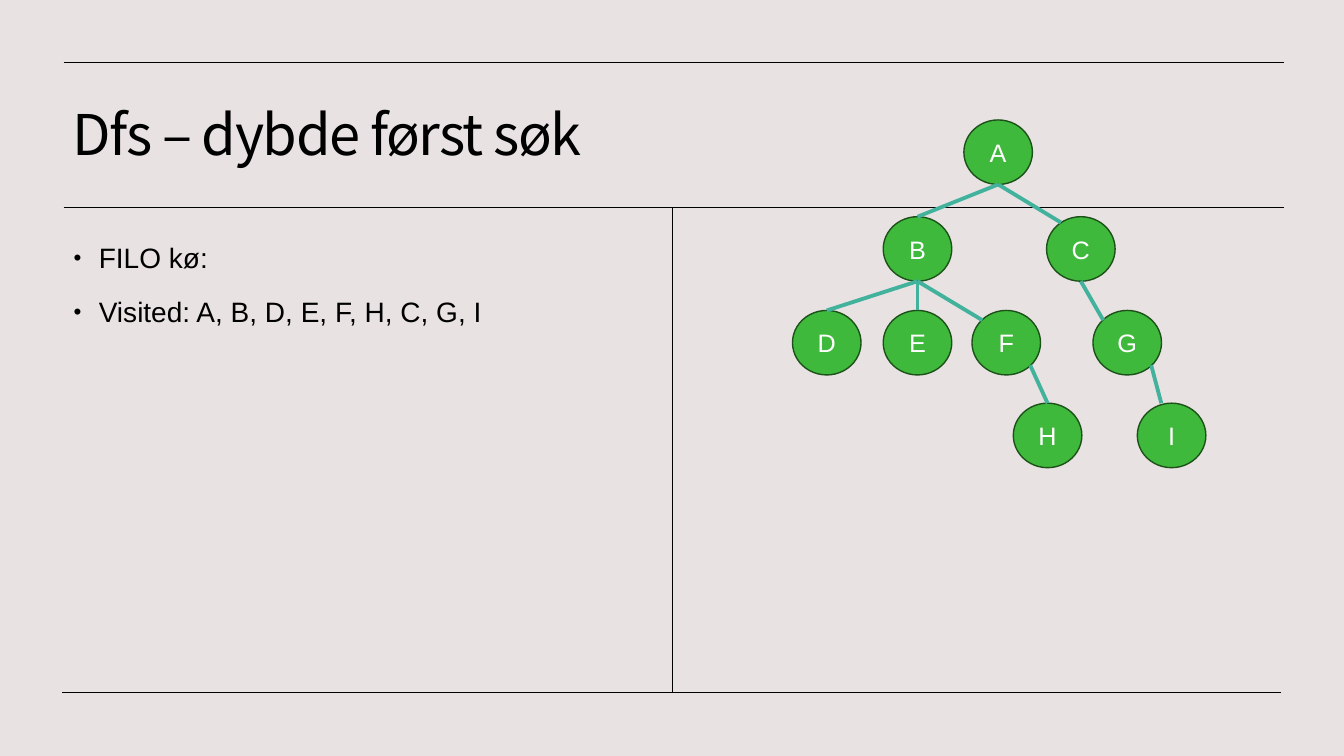
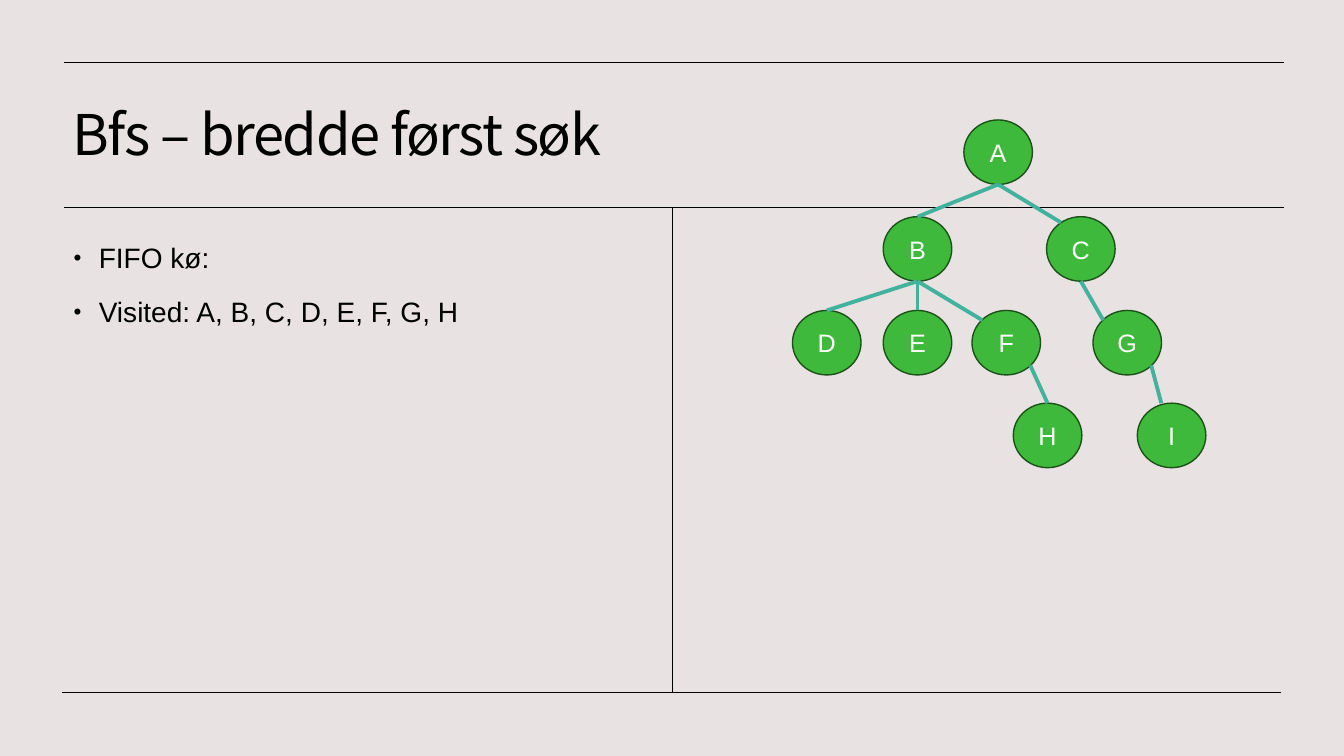
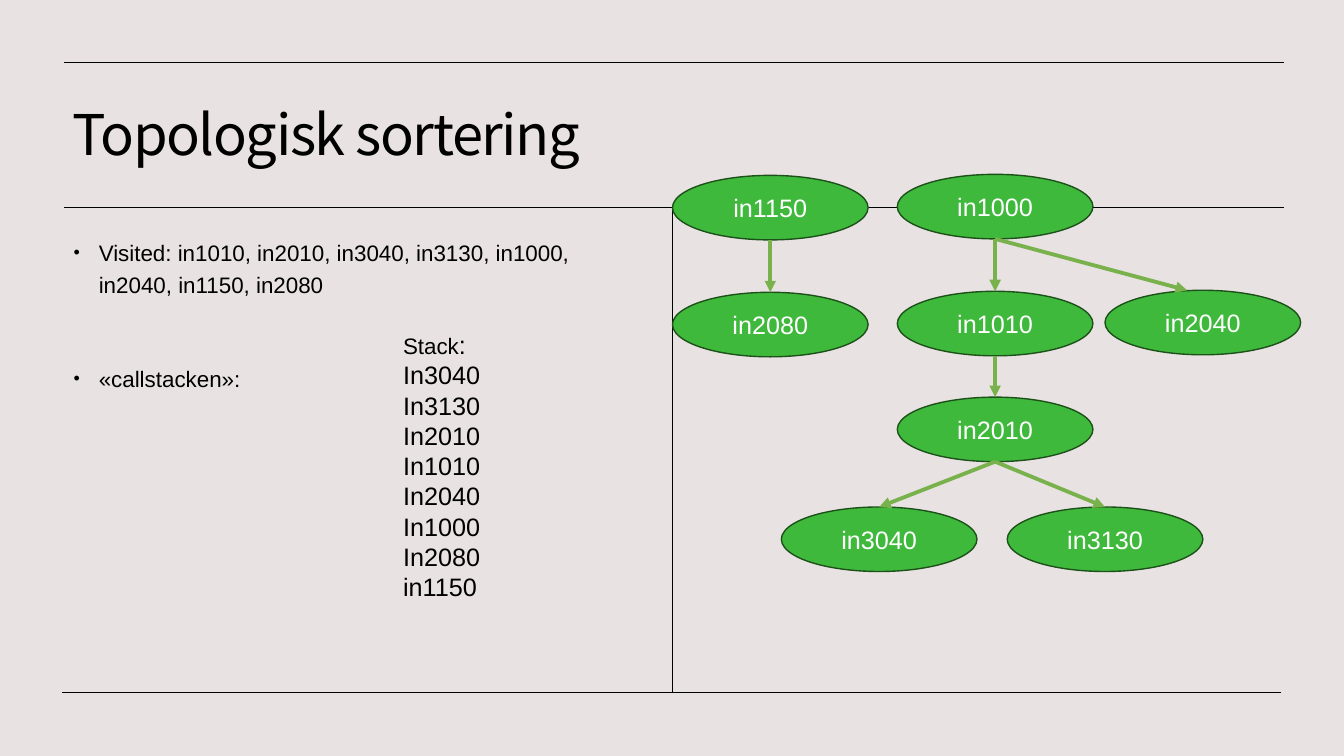
import pptx
import pptx.dml.color
import pptx.enum.shapes
import pptx.enum.text
import pptx.oxml.ns
import pptx.util
from lxml import etree
from pptx.util import Inches

COLOURS = {
    "background": "E8E3E2",
    "ink": "000000",
    "node": "3FB93B",
    "node_outline": "1C511A",
    "node_text": "FFFFFF",
    "tree_edge": "42B29C",
    "arrow": "79B14D",
}
TITLE_FONT = "Noto Sans CJK KR"
BODY_FONT = "Arial"

# Rules around the title and the two columns: x1, y1, x2, y2
FRAME_LINES = [
    (0.62, 6.87, 12.71, 6.87),
    (0.63, 2.06, 12.73, 2.06),
    (0.63, 0.62, 12.73, 0.62),
    (6.67, 2.06, 6.67, 6.87),
]

# Points on a node, as fractions of its width and height
TOP, BOTTOM = (0.5, 0), (0.5, 1)
UPPER_LEFT, LOWER_RIGHT = (0.15, 0.15), (0.85, 0.85)

NODE_HEIGHT = 0.64
LETTER_WIDTH = 0.68
COURSE_WIDTH = 1.94

# Node name: left, top
TREE_NODES = {
    "A": (9.56, 1.19),
    "B": (8.76, 2.15), "C": (10.38, 2.15),
    "D": (7.86, 3.08), "E": (8.76, 3.08), "F": (9.64, 3.08), "G": (10.84, 3.08),
    "H": (10.05, 4), "I": (11.28, 4),
}
TREE_EDGES = [
    ("A", BOTTOM, "B", TOP),
    ("A", BOTTOM, "C", (0.21, 0.09)),
    ("B", BOTTOM, "D", TOP),
    ("B", BOTTOM, "E", TOP),
    ("B", BOTTOM, "F", UPPER_LEFT),
    ("C", BOTTOM, "G", UPPER_LEFT),
    ("F", LOWER_RIGHT, "H", TOP),
    ("G", LOWER_RIGHT, "I", (0.35, 0)),
]
COURSE_NODES = {
    "in1150": (6.67, 1.74), "in1000": (8.9, 1.73),
    "in2080": (6.67, 2.9), "in1010": (8.9, 2.89), "in2040": (10.96, 2.88),
    "in2010": (8.9, 3.94),
    "in3040": (7.75, 5.03), "in3130": (9.99, 5.03),
}
COURSE_EDGES = [
    ("in1150", BOTTOM, "in2080", TOP),
    ("in1000", BOTTOM, "in1010", TOP),
    ("in1000", BOTTOM, "in2040", (0.42, 0)),
    ("in1010", BOTTOM, "in2010", TOP),
    ("in2010", BOTTOM, "in3040", TOP),
    ("in2010", BOTTOM, "in3130", TOP),
]
STACK = ["In3040", "In3130", "In2010", "In1010", "In2040", "In1000", "In2080", "in1150"]


def colour(name):
    return pptx.dml.color.RGBColor.from_string(COLOURS[name])


def add_xml(parent, tag, **attributes):
    return etree.SubElement(parent, pptx.oxml.ns.qn(tag), attributes)


def add_run(para, text, size, ink="ink", font=BODY_FONT):
    run = para.add_run()
    run.text = text
    run.font.size = pptx.util.Pt(size)
    run.font.name = font
    run.font.color.rgb = colour(ink)
    return run


def add_line(slide, start, end, ink, width, arrow=False):
    points = [Inches(value) for value in (*start, *end)]
    line = slide.shapes.add_connector(pptx.enum.shapes.MSO_CONNECTOR.STRAIGHT, *points)
    line.line.color.rgb = colour(ink)
    line.line.width = pptx.util.Pt(width)
    properties = line.element.spPr
    if arrow:
        add_xml(properties.find(pptx.oxml.ns.qn("a:ln")), "a:tailEnd", type="triangle")
    add_xml(properties, "a:effectLst")
    return line


def place(shape, left, top, width, height):
    shape.left, shape.top = Inches(left), Inches(top)
    shape.width, shape.height = Inches(width), Inches(height)


def prepare_layout(layout):
    """Background and placeholder positions that all slides inherit."""
    fill = layout.background.fill
    fill.solid()
    fill.fore_color.rgb = colour("background")
    title, body = layout.placeholders[0], layout.placeholders[1]
    place(title, 0.62, 0.78, 12.08, 1.16)
    title.text_frame.vertical_anchor = pptx.enum.text.MSO_ANCHOR.MIDDLE
    place(body, 0.63, 2.27, 5.67, 4.49)
    for holder in (title, body):
        holder.text_frame.auto_size = pptx.enum.text.MSO_AUTO_SIZE.NONE


def add_frame(slide, layout):
    """Draw the rules, then hand them over to the layout."""
    for x1, y1, x2, y2 in FRAME_LINES:
        line = add_line(slide, (x1, y1), (x2, y2), "ink", 0.5)
        layout.shapes.element.append(line.element)


def add_title(slide, text):
    para = slide.shapes.title.text_frame.paragraphs[0]
    para.alignment = pptx.enum.text.PP_ALIGN.LEFT
    para.line_spacing = 0.9
    run = add_run(para, text, 40, font=TITLE_FONT)
    run.font.element.set("spc", "-100") if hasattr(run.font, "element") else \
        run.font.fill and run._r.get_or_add_rPr().set("spc", "-100")


def add_bullets(slide, items, size, later_gap=10):
    frame = slide.placeholders[1].text_frame
    for index, text in enumerate(items):
        para = frame.add_paragraph() if index else frame.paragraphs[0]
        para.line_spacing = 1.2
        para.space_before = pptx.util.Pt(later_gap if index else 10)
        add_run(para, text, size)
        properties = para._p.get_or_add_pPr()
        properties.set("marL", str(Inches(0.25)))
        properties.set("indent", str(-Inches(0.25)))
        add_xml(properties, "a:buSzPct", val="80000")
        add_xml(properties, "a:buFont", typeface=BODY_FONT)
        add_xml(properties, "a:buChar", char="•")


def add_node(slide, name, left, top, width):
    node = slide.shapes.add_shape(
        pptx.enum.shapes.MSO_SHAPE.OVAL,
        Inches(left), Inches(top), Inches(width), Inches(NODE_HEIGHT))
    node.shadow.inherit = False
    node.fill.solid()
    node.fill.fore_color.rgb = colour("node")
    node.line.color.rgb = colour("node_outline")
    node.line.width = pptx.util.Pt(1)
    frame = node.text_frame
    frame.vertical_anchor = pptx.enum.text.MSO_ANCHOR.MIDDLE
    para = frame.paragraphs[0]
    para.alignment = pptx.enum.text.PP_ALIGN.CENTER
    add_run(para, name, 18, "node_text")


def add_graph(slide, nodes, edges, width, ink, arrow=False):
    def point(name, site):
        left, top = nodes[name]
        return left + site[0] * width, top + site[1] * NODE_HEIGHT

    for name, (left, top) in nodes.items():
        add_node(slide, name, left, top, width)
    for parent, parent_site, child, child_site in edges:
        add_line(slide, point(parent, parent_site), point(child, child_site), ink, 2.75, arrow)


def add_stack(slide):
    box = slide.shapes.add_textbox(Inches(3.9), Inches(3.22), Inches(2.8), Inches(3.43))
    frame = box.text_frame
    frame.word_wrap = True
    heading = frame.paragraphs[0]
    add_run(heading, "Stack", 16)
    add_run(heading, ":", 18)
    for course in STACK:
        add_run(frame.add_paragraph(), course, 18)


def main():
    deck = pptx.Presentation()
    deck.slide_width, deck.slide_height = Inches(13.33), Inches(7.5)
    layout = deck.slide_layouts[1]
    prepare_layout(layout)
    depth_slide, breadth_slide, sort_slide = [deck.slides.add_slide(layout) for _ in range(3)]
    add_frame(depth_slide, layout)

    # Depth-first and breadth-first search on the same tree
    searches = [
        (depth_slide, "Dfs – dybde først søk", ["FILO kø:", "Visited: A, B, D, E, F, H, C, G, I"]),
        (breadth_slide, "Bfs – bredde først søk", ["FIFO kø:", "Visited: A, B, C, D, E, F, G, H"]),
    ]
    for slide, title, bullets in searches:
        add_title(slide, title)
        add_bullets(slide, bullets, 20)
        add_graph(slide, TREE_NODES, TREE_EDGES, LETTER_WIDTH, "tree_edge")

    # Topological sorting of courses
    add_title(sort_slide, "Topologisk sortering")
    add_bullets(sort_slide, [
        "Visited: in1010, in2010, in3040, in3130, in1000, in2040, in1150, in2080",
        "«callstacken»:",
    ], 16, later_gap=44)
    add_graph(sort_slide, COURSE_NODES, COURSE_EDGES, COURSE_WIDTH, "arrow", arrow=True)
    add_stack(sort_slide)

    deck.save("out.pptx")


if __name__ == "__main__":
    main()
